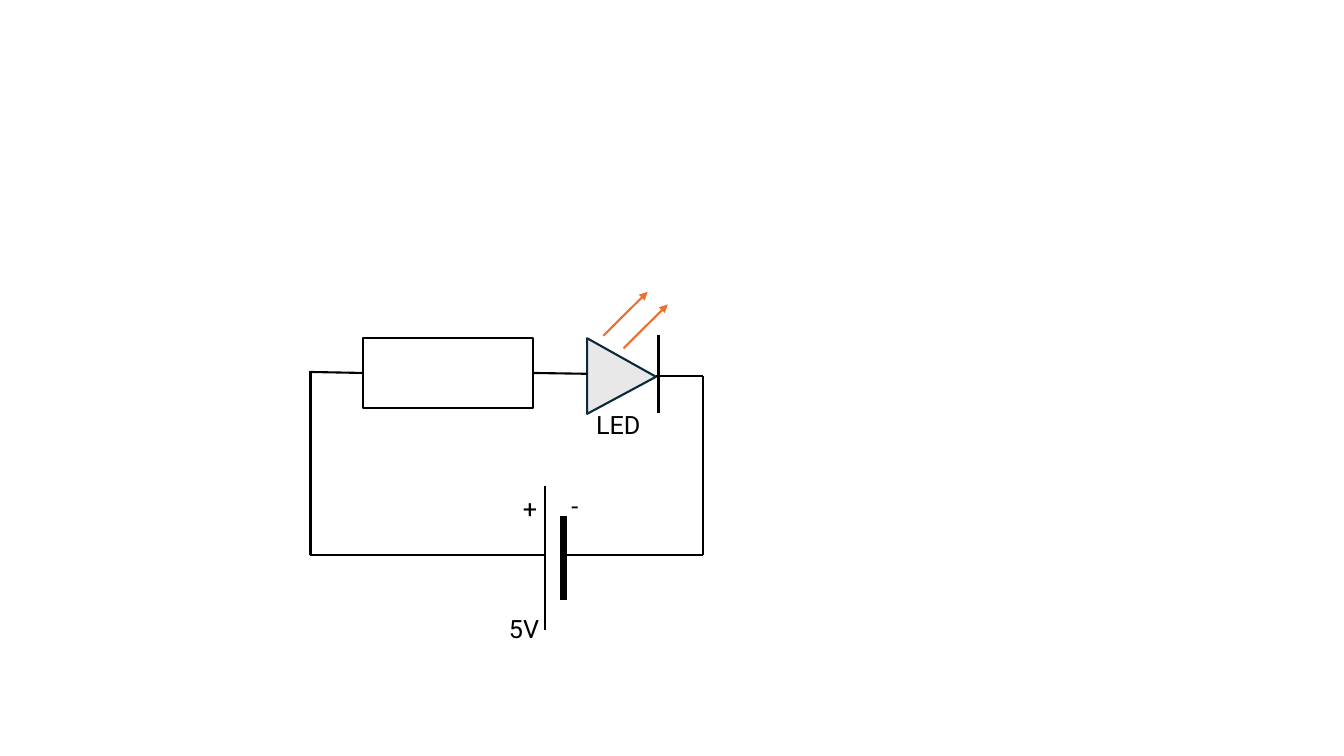
from lxml import etree
from pptx import Presentation
from pptx.dml.color import RGBColor
from pptx.enum.shapes import MSO_CONNECTOR, MSO_SHAPE
from pptx.enum.text import MSO_AUTO_SIZE
from pptx.oxml.ns import qn
from pptx.util import Pt

STRAIGHT = MSO_CONNECTOR.STRAIGHT
RECT, TRIANGLE = MSO_SHAPE.RECTANGLE, MSO_SHAPE.ISOSCELES_TRIANGLE
FIT_SHAPE = MSO_AUTO_SIZE.SHAPE_TO_FIT_TEXT
COLORS = {"ink": "000000", "diode": "E8E8E8", "edge": "092A39", "light": "E97132"}
FONT = "Roboto"


def color(name):
    return RGBColor.from_string(COLORS[name])


def add_line(s, x1, y1, x2, y2, width=1.5, ink="ink", arrow=False):
    line = s.shapes.add_connector(STRAIGHT, Pt(x1), Pt(y1), Pt(x2), Pt(y2))
    line.line.color.rgb = color(ink)
    line.line.width = Pt(width)
    if arrow:
        etree.SubElement(line.line._get_or_add_ln(), qn("a:tailEnd"), type="triangle")
    etree.SubElement(line._element.spPr, qn("a:effectLst"))
    return line


def add_symbol(s, kind, x, y, w, h, edge):
    sp = s.shapes.add_shape(kind, Pt(x), Pt(y), Pt(w), Pt(h))
    sp.shadow.inherit = False
    sp.fill.background()
    sp.line.color.rgb = color(edge)
    sp.line.width = Pt(1.5)
    return sp


def add_label(s, text, x, y, w, h=28.8):
    tf = s.shapes.add_textbox(Pt(x), Pt(y), Pt(w), Pt(h)).text_frame
    tf.word_wrap = True
    tf.auto_size = FIT_SHAPE
    tf.text = text
    font = tf.paragraphs[0].runs[0].font
    font.name, font.size = FONT, Pt(18)
    font.color.rgb = color("ink")


def add_battery(s, x, y, w, h):
    # Long positive plate, short thick negative plate
    inset = 21.6
    add_line(s, x, y, x, y + h)
    add_line(s, x + w, y + inset, x + w, y + h - inset, 4.5)
    add_label(s, "5V", x - 33.1, y + h - 15.1, 37.4)
    add_label(s, "+", x - 23, y + 1.5, 36)
    add_label(s, "-", x + w - 1.5, y, 56.2)


def add_led(s, x, y, w, h):
    # Triangle turned to point right, placed by its centre
    depth = w - 2
    sp = add_symbol(s, TRIANGLE, x + (depth - h) / 2, y + (h - depth) / 2, h, depth, "edge")
    sp.rotation = 90
    sp.adjustments[0] = 0.51
    sp.fill.solid()
    sp.fill.fore_color.rgb = color("diode")
    # Cathode bar
    add_line(s, x + w, y - 2.5, x + w, y + h - 0.4, 2.25)
    # Emitted light
    for dx, dy in ((0, 0), (14.4, 9)):
        ax, ay = x + 11.6 + dx, y - 1.8 + dy
        add_line(s, ax, ay, ax + 31.6, ay - 31.4, ink="light", arrow=True)
    add_label(s, "LED", x - 0.7, y + h - 6.9, 54.7)


def add_circuit(s, x, y, w, h):
    bottom, right = y + h, x + w
    plate_x, plate_gap = x + 167.7, 13
    led_x, led_w, led_h = x + 197.6, 51.2, 54
    led_y = y + 3.6

    # Components
    add_battery(s, plate_x, bottom - 49.7, plate_gap, 103)
    resistor = add_symbol(s, RECT, x + 37.4, y - 23.8, 121.7, 50.4, "ink")
    add_led(s, led_x, led_y - led_h / 2, led_w, led_h)

    # Wires joined to the resistor
    add_line(s, x + 37.4, y + 1.4, x, y + 0.7).begin_connect(resistor, 1)
    add_line(s, led_x, y + 2, x + 159.1, y + 1.4).end_connect(resistor, 3)

    # Remaining wires of the loop
    for wire in (
        (x, bottom, x, y),
        (x, bottom, plate_x, bottom),
        (plate_x + plate_gap, bottom, right, bottom),
        (right, bottom, right, led_y),
        (led_x + led_w - 2, led_y, right, led_y),
    ):
        add_line(s, *wire)


def main():
    prs = Presentation()
    prs.slide_width, prs.slide_height = Pt(960), Pt(540)
    s = prs.slides.add_slide(prs.slide_layouts[6])
    add_circuit(s, 221.8, 265, 280.6, 131.7)
    prs.save("out.pptx")


if __name__ == "__main__":
    main()
